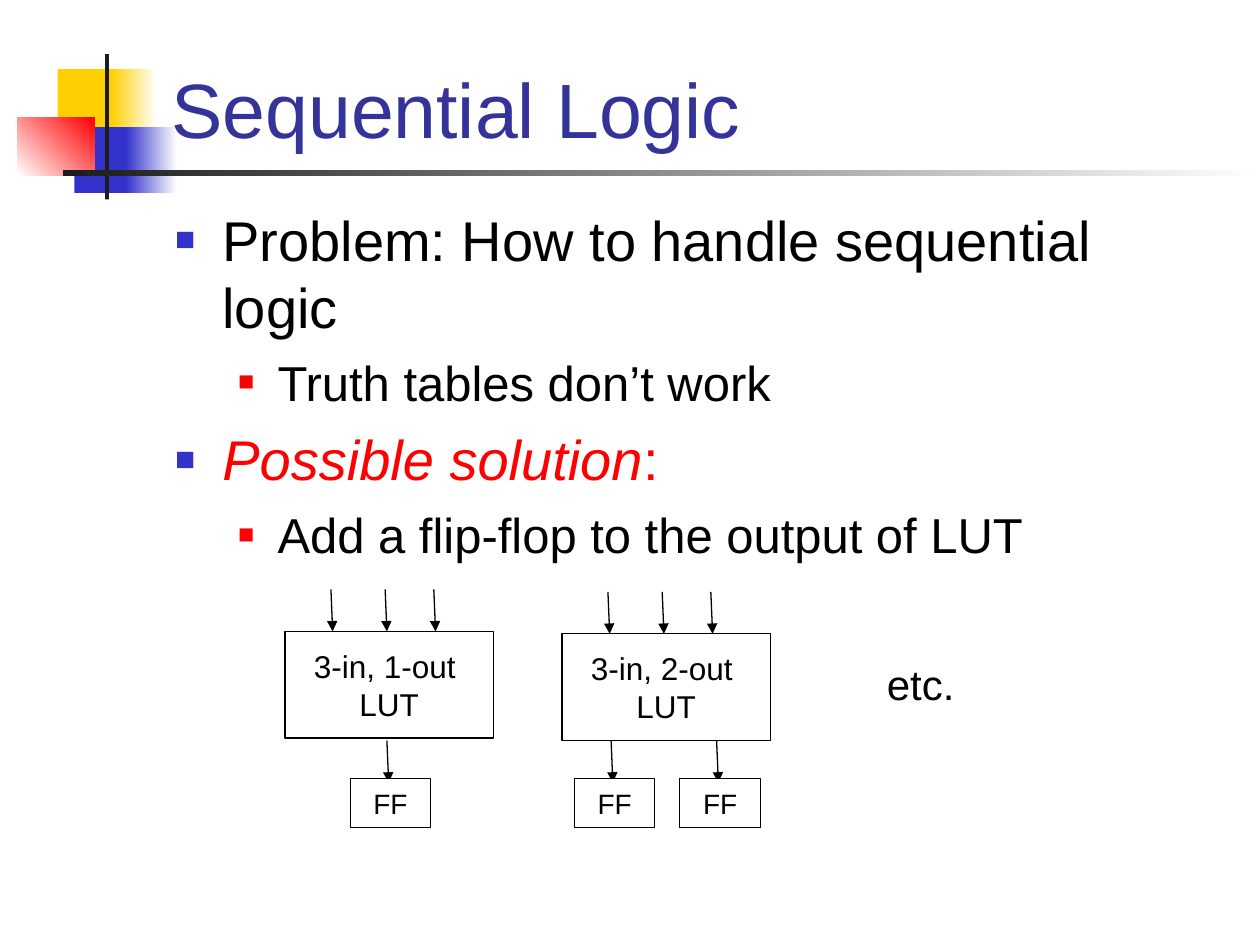
"""Build the Sequential Logic slide with its lookup-table and flip-flop diagram."""
from dataclasses import dataclass
from typing import Any, Optional

from lxml.etree import SubElement
from pptx import Presentation
from pptx.dml.color import RGBColor
from pptx.enum.shapes import MSO_CONNECTOR as Connector, MSO_SHAPE as Preset
from pptx.enum.text import MSO_ANCHOR as Anchor, MSO_AUTO_SIZE as AutoSize, PP_ALIGN as Align
from pptx.oxml.ns import qn
from pptx.util import Pt

BLACK, WHITE, RED, BLUE, YELLOW, DARK = "000000", "FFFFFF", "FF0000", "3333CC", "FFCF01", "1C1C1C"
TITLE_COLOR = "333399"
FONT = "Arial"


@dataclass
class Box:
    left: float
    top: float
    width: float
    height: float


@dataclass
class Block:
    box: Box
    color: str
    end_color: Optional[str] = None
    angle: float = 0


@dataclass
class Level:
    margin: float
    hanging: float
    size: float
    space: float
    bullet_color: str
    bullet_percent: int


@dataclass
class Item:
    level: int
    runs: list[tuple[str, str, bool]]


@dataclass
class LookupTable:
    left: float
    top: float
    label: str
    outputs: list[float]


BLOCKS = [
    Block(Box(33, 39.5, 34.5, 37.5), YELLOW),
    Block(Box(63.5, 39.5, 26, 37.5), YELLOW, WHITE),
    Block(Box(42.5, 72.7, 33, 37.5), BLUE),
    Block(Box(72, 72.7, 29, 37.5), BLUE, WHITE),
    Block(Box(10, 67, 44, 33.5), WHITE, RED, 45),
    Block(Box(60, 31, 2.3, 83), DARK),
    Block(Box(36, 97.2, 684, 3.5), DARK, WHITE),
]
LEVELS = [Level(27, 27, 32, 8, BLUE, 60), Level(58.5, 22.5, 28, 7, RED, 55)]
ITEMS = [
    Item(0, [("Problem: How to handle sequential logic", BLACK, False)]),
    Item(1, [("Truth tables don’t work", BLACK, False)]),
    Item(0, [("Possible solution", RED, True), (":", RED, False)]),
    Item(1, [("Add a flip-flop to the output of LUT", BLACK, False)]),
]
LOOKUP_TABLES = [
    LookupTable(321.2, 362.2, "3-in, 2-out ", [28, 88.3]),
    LookupTable(162.9, 360.8, "3-in, 1-out ", [58.2]),
]
INPUT_OFFSETS = [26.2, 57.2, 85]
ARROW_LENGTH = 24
OUTPUT_TOP, FLIP_FLOP_TOP = 423.2, 445


def rgb(color: str) -> RGBColor:
    return RGBColor.from_string(color)


def set_values(target: Any, **values: Any) -> None:
    for name, value in values.items():
        setattr(target, name, value)


def place(shape: Any, box: Box) -> None:
    set_values(shape, left=Pt(box.left), top=Pt(box.top), width=Pt(box.width), height=Pt(box.height))


def add_run(paragraph: Any, text: str, size: float, color: str = BLACK, italic: bool = False) -> None:
    run = paragraph.add_run()
    run.text = text
    set_values(run.font, name=FONT, size=Pt(size), italic=italic)
    run.font.color.rgb = rgb(color)


def add_rectangle(slide: Any, box: Box) -> Any:
    shape = slide.shapes.add_shape(
        Preset.RECTANGLE, Pt(box.left), Pt(box.top), Pt(box.width), Pt(box.height))
    shape.shadow.inherit = False
    return shape


def add_block(slide: Any, block: Block) -> None:
    shape = add_rectangle(slide, block.box)
    shape.line.fill.background()
    if block.end_color is None:
        shape.fill.solid()
        shape.fill.fore_color.rgb = rgb(block.color)
        return
    shape.fill.gradient()
    shape.fill.gradient_angle = block.angle
    for stop, color in zip(shape.fill.gradient_stops, (block.color, block.end_color)):
        stop.color.rgb = rgb(color)


def add_labelled_box(slide: Any, box: Box, lines: list[str], size: float, fill: Optional[str] = None) -> None:
    shape = add_rectangle(slide, box)
    if fill:
        shape.fill.solid()
        shape.fill.fore_color.rgb = rgb(fill)
    else:
        shape.fill.background()
    shape.line.color.rgb = rgb(BLACK)
    shape.line.width = Pt(0.75)
    frame = shape.text_frame
    set_values(frame, word_wrap=False, vertical_anchor=Anchor.MIDDLE)
    for index, line in enumerate(lines):
        paragraph = frame.add_paragraph() if index else frame.paragraphs[0]
        paragraph.alignment = Align.CENTER
        add_run(paragraph, line, size)


def add_arrow(slide: Any, left: float, top: float) -> None:
    arrow = slide.shapes.add_connector(
        Connector.STRAIGHT, Pt(left), Pt(top), Pt(left + 1), Pt(top + ARROW_LENGTH))
    arrow.line.color.rgb = rgb(BLACK)
    arrow.line.width = Pt(0.75)
    SubElement(arrow.line._get_or_add_ln(), qn("a:tailEnd"), type="triangle")
    SubElement(arrow.element.spPr, qn("a:effectLst"))


def add_lookup_table(slide: Any, table: LookupTable) -> None:
    add_labelled_box(slide, Box(table.left, table.top, 119, 61), [table.label, "LUT"], 18)
    for offset in INPUT_OFFSETS:
        add_arrow(slide, table.left + offset, table.top - ARROW_LENGTH)
    for offset in table.outputs:
        left = table.left + offset
        add_arrow(slide, left, OUTPUT_TOP)
        add_labelled_box(slide, Box(left - 21, FLIP_FLOP_TOP, 46, 28), ["FF"], 16, WHITE)


def add_bullet(paragraph: Any, level: Level) -> None:
    properties = paragraph._p.get_or_add_pPr()
    properties.set("marL", str(Pt(level.margin)))
    properties.set("indent", str(-Pt(level.hanging)))
    color = SubElement(properties, qn("a:buClr"))
    SubElement(color, qn("a:srgbClr"), val=level.bullet_color)
    SubElement(properties, qn("a:buSzPct"), val=str(level.bullet_percent * 1000))
    SubElement(properties, qn("a:buFont"), typeface=FONT)
    SubElement(properties, qn("a:buChar"), char="■")


def fill_title(title: Any) -> None:
    place(title, Box(90.7, 1.4, 613.5, 90))
    set_values(title.text_frame, word_wrap=True, auto_size=AutoSize.NONE, vertical_anchor=Anchor.BOTTOM)
    paragraph = title.text_frame.paragraphs[0]
    paragraph.alignment = Align.LEFT
    add_run(paragraph, "Sequential Logic", 44, TITLE_COLOR)


def fill_body(body: Any) -> None:
    place(body, Box(92.9, 113.8, 612, 368.6))
    frame = body.text_frame
    set_values(frame, word_wrap=True, auto_size=AutoSize.NONE, vertical_anchor=Anchor.TOP)
    for index, item in enumerate(ITEMS):
        paragraph = frame.add_paragraph() if index else frame.paragraphs[0]
        level = LEVELS[item.level]
        add_bullet(paragraph, level)
        set_values(paragraph, level=item.level, space_before=Pt(level.space if index else 0))
        for text, color, italic in item.runs:
            add_run(paragraph, text, level.size, color, italic)


def main() -> None:
    presentation = Presentation()
    set_values(presentation, slide_width=Pt(720), slide_height=Pt(540))
    slide = presentation.slides.add_slide(presentation.slide_layouts[1])
    title, body = slide.placeholders
    for block in BLOCKS:
        add_block(slide, block)
    for placeholder, fill in ((title, fill_title), (body, fill_body)):
        slide.shapes.element.append(placeholder.element)
        fill(placeholder)
    for table in LOOKUP_TABLES:
        add_lookup_table(slide, table)
    note = slide.shapes.add_textbox(Pt(499.7), Pt(373), Pt(126), Pt(36))
    note.text_frame.word_wrap = True
    add_run(note.text_frame.paragraphs[0], "etc.", 24)
    presentation.save("out.pptx")


if __name__ == "__main__":
    main()
